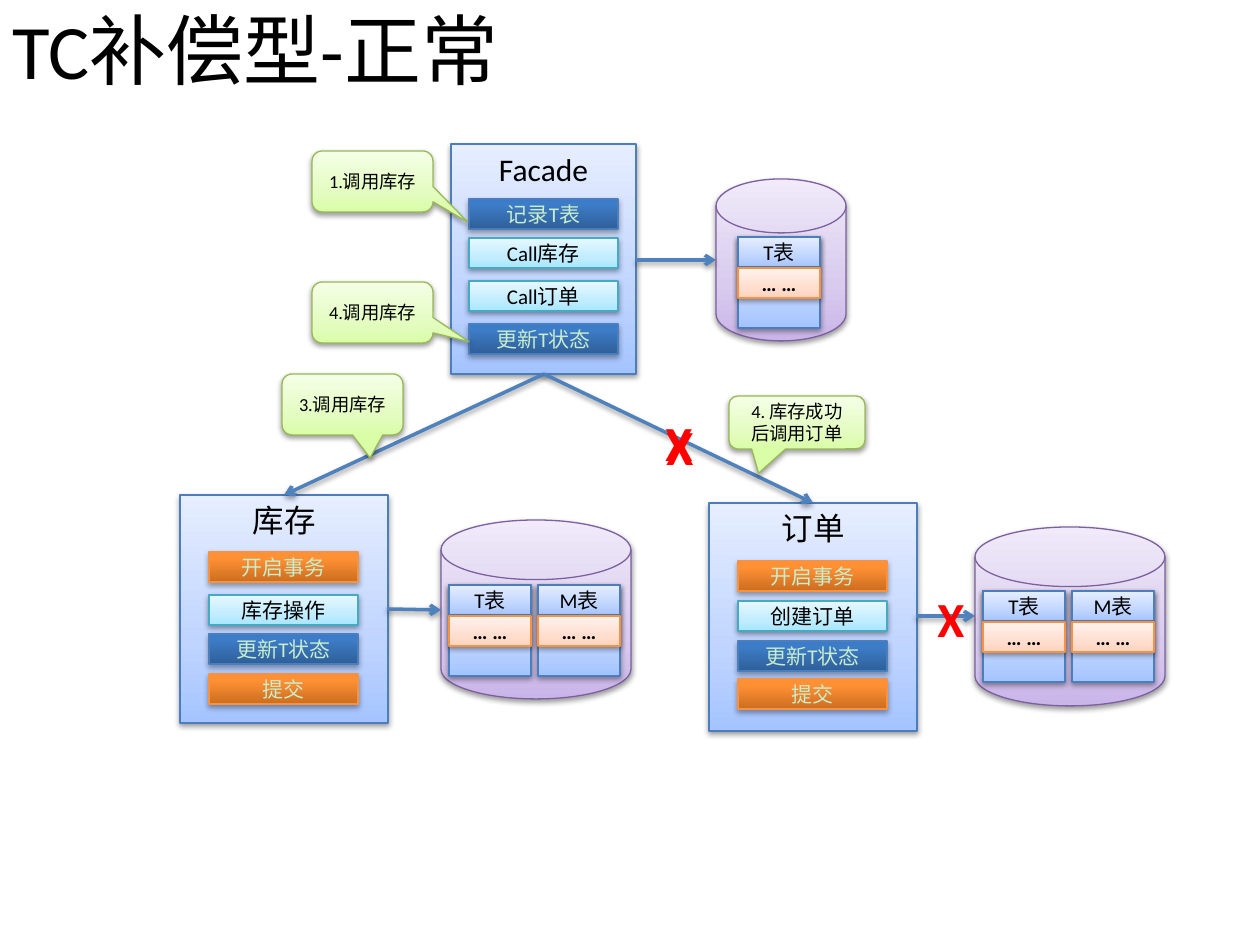
from dataclasses import dataclass
from typing import NamedTuple, Optional

from lxml.etree import SubElement
from pptx import Presentation
from pptx.dml.color import RGBColor
from pptx.enum.shapes import MSO_CONNECTOR, MSO_SHAPE
from pptx.enum.text import MSO_ANCHOR, MSO_AUTO_SIZE, PP_ALIGN
from pptx.oxml.ns import qn
from pptx.util import Emu, Pt


def px(n: float) -> Emu:
    return Emu(round(n * 914400 / 126))


class Look(NamedTuple):
    stops: tuple  # (position %, colour), from bottom to top
    line: str
    color: str = "000000"
    alpha: int = 38
    dist: int = 20000


@dataclass(frozen=True)
class Theme:
    font: str = "Calibri"
    black: str = "000000"
    red: str = "FF0000"
    arrow: str = "4F81BD"
    title: float = 44
    mark: float = 28
    heading: float = 18
    body: float = 12
    note: float = 10.5
    edge: float = 0.75
    arrow_width: float = 2
    panel: Look = Look(((0, "A4C4FF"), (35, "BFD4FF"), (100, "E6EEFF")), "4B7EBC")
    call: Look = Look(((0, "A7E6FF"), (35, "C1EDFF"), (100, "E7F8FF")), "46AAC5")
    disk: Look = Look(((0, "C9B5E8"), (35, "D8CBEE"), (100, "F0EAF9")), "7D60A0")
    row: Look = Look(((0, "FFD2BD"), (35, "FFDED0"), (100, "FFF2ED")), "F69240")
    callout: Look = Look(((0, "DAFDA7"), (35, "E4FCC2"), (100, "F5FFE7")), "98B955")
    record: Look = Look(((0, "2F5F99"), (80, "3D7CC7"), (100, "3A7CCB")), "4B7EBC",
                        "C7EDCC", 35, 23000)
    commit: Look = Look(((0, "CC6E20"), (80, "FF9034"), (100, "FF9136")), "F69240",
                        "C7EDCC", 35, 23000)


T = Theme()


class Box(NamedTuple):
    x: int
    y: int
    w: int
    h: int


class Step(NamedTuple):
    text: str
    y: int
    look: Look


class Service(NamedTuple):
    name: str
    box: Box
    steps: tuple


class Database(NamedTuple):
    box: Box
    table_x: int
    table_y: int
    tables: tuple


class Arrow(NamedTuple):
    x1: int
    y1: int
    x2: int
    y2: int


class Callout(NamedTuple):
    text: str
    box: Box
    tip_x: float
    tip_y: float


STEP_W, ROW_H = 149, 30
TABLE_W, TABLE_H, TABLE_PITCH = 82, 91, 89

SERVICES = (
    Service("Facade", Box(451, 144, 185, 230), (
        Step("记录T表", 199, T.record), Step("Call库存", 238, T.call),
        Step("Call订单", 281, T.call), Step("更新T状态", 324, T.record))),
    Service("订单", Box(709, 503, 208, 228), (
        Step("开启事务", 561, T.commit), Step("创建订单", 601, T.call),
        Step("更新T状态", 641, T.record), Step("提交", 679, T.commit))),
    Service("库存", Box(180, 495, 208, 228), (
        Step("开启事务", 552, T.commit), Step("库存操作", 595, T.call),
        Step("更新T状态", 634, T.record), Step("提交", 674, T.commit))),
)
DATABASES = (
    Database(Box(441, 520, 190, 179), 449, 585, ("T表", "M表")),
    Database(Box(975, 527, 190, 179), 983, 591, ("T表", "M表")),
    Database(Box(716, 179, 130, 162), 738, 237, ("T表",)),
)
ARROWS = (
    Arrow(387, 609, 441, 610), Arrow(916, 616, 975, 616), Arrow(636, 260, 716, 260),
    Arrow(544, 374, 284, 495), Arrow(544, 374, 813, 503),
)
CALLOUTS = (
    Callout("3.调用库存", Box(282, 374, 121, 61), 0.228, 0.875),
    Callout("4. 库存成功后调用订单", Box(729, 396, 136, 53), -0.282, 0.959),
    Callout("1.调用库存", Box(312, 151, 121, 61), 0.788, 0.667),
    Callout("4.调用库存", Box(312, 282, 121, 61), 0.798, 0.479),
)
MARKS = ((925, 582), (654, 410), (653, 406))


def rgb(color: str) -> RGBColor:
    return RGBColor.from_string(color)


def write(tf, text: str, *, size: float, color: str = T.black, bold: bool = False,
          align: PP_ALIGN = PP_ALIGN.CENTER,
          anchor: MSO_ANCHOR = MSO_ANCHOR.MIDDLE) -> None:
    tf.word_wrap = True
    tf.vertical_anchor = anchor
    p = tf.paragraphs[0]
    p.alignment = align
    r = p.add_run()
    r.text = text
    r.font.name, r.font.size, r.font.bold = T.font, Pt(size), bold
    r.font.color.rgb = rgb(color)


def add_color(parent, color: str):
    clr = SubElement(parent, qn("a:srgbClr"))
    clr.set("val", color)
    return clr


def add_shadow(effects, alpha: int = 38, dist: int = 20000) -> None:
    shadow = SubElement(effects, qn("a:outerShdw"), blurRad="40000", dist=str(dist),
                        dir="5400000", rotWithShape="0")
    SubElement(add_color(shadow, T.black), qn("a:alpha"), val=str(alpha * 1000))


def add_box(s, kind: MSO_SHAPE, box: Box, look: Look, text: Optional[str] = None, **fmt):
    sp = s.shapes.add_shape(kind, *map(px, box))
    sp.fill.gradient()
    sp.fill.gradient_angle = 90
    stops = sp.element.spPr.find(".//" + qn("a:gsLst"))
    for old in list(stops):
        stops.remove(old)
    for pos, color in look.stops:
        add_color(SubElement(stops, qn("a:gs"), pos=str(pos * 1000)), color)
    sp.line.color.rgb = rgb(look.line)
    sp.line.width = Pt(T.edge)
    sp.shadow.inherit = False
    add_shadow(sp.element.spPr.find(qn("a:effectLst")), look.alpha, look.dist)
    if text:
        write(sp.text_frame, text, color=look.color, **fmt)
    return sp


def add_arrow(s, arrow: Arrow) -> None:
    c = s.shapes.add_connector(MSO_CONNECTOR.STRAIGHT, *map(px, arrow))
    c.line.color.rgb = rgb(T.arrow)
    c.line.width = Pt(T.arrow_width)
    spPr = c.element.spPr
    SubElement(spPr.find(qn("a:ln")), qn("a:tailEnd"), type="arrow")
    add_shadow(SubElement(spPr, qn("a:effectLst")))


def add_service(s, service: Service) -> None:
    b = service.box
    add_box(s, MSO_SHAPE.RECTANGLE, b, T.panel, service.name, size=T.heading,
            anchor=MSO_ANCHOR.TOP)
    for step in service.steps:
        bar = Box(b.x + (b.w - STEP_W) // 2, step.y, STEP_W, ROW_H)
        add_box(s, MSO_SHAPE.RECTANGLE, bar, step.look, step.text, size=T.body)


def add_database(s, db: Database) -> None:
    add_box(s, MSO_SHAPE.FLOWCHART_MAGNETIC_DISK, db.box, T.disk)
    for i, name in enumerate(db.tables):
        x, y = db.table_x + i * TABLE_PITCH, db.table_y
        add_box(s, MSO_SHAPE.RECTANGLE, Box(x, y, TABLE_W, TABLE_H), T.panel)
        add_box(s, MSO_SHAPE.RECTANGLE, Box(x, y, TABLE_W, ROW_H), T.panel, name,
                size=T.body)
        add_box(s, MSO_SHAPE.RECTANGLE, Box(x, y + ROW_H + 1, TABLE_W, ROW_H), T.row,
                "… …", size=T.body, bold=True)


def add_text(s, box: Box, text: str, **fmt):
    tf = s.shapes.add_textbox(*map(px, box)).text_frame
    write(tf, text, align=PP_ALIGN.LEFT, **fmt)
    return tf


prs = Presentation()
prs.slide_width, prs.slide_height = px(1260), px(945)
s = prs.slides.add_slide(prs.slide_layouts[6])

# Title
add_text(s, Box(0, 0, 1134, 97), "TC补偿型-正常", size=T.title)

# Services, databases and the calls between them
for service in SERVICES:
    add_service(s, service)
for db in DATABASES:
    add_database(s, db)
for arrow in ARROWS:
    add_arrow(s, arrow)

# Callouts
for note in CALLOUTS:
    sp = add_box(s, MSO_SHAPE.ROUNDED_RECTANGULAR_CALLOUT, note.box, T.callout,
                 note.text, size=T.note)
    sp.adjustments[0], sp.adjustments[1] = note.tip_x, note.tip_y

# Failure marks
for x, y in MARKS:
    tf = add_text(s, Box(x, y, 57, 72), "X", size=T.mark, color=T.red, bold=True,
                  anchor=MSO_ANCHOR.TOP)
    tf.auto_size = MSO_AUTO_SIZE.SHAPE_TO_FIT_TEXT

prs.save("out.pptx")
